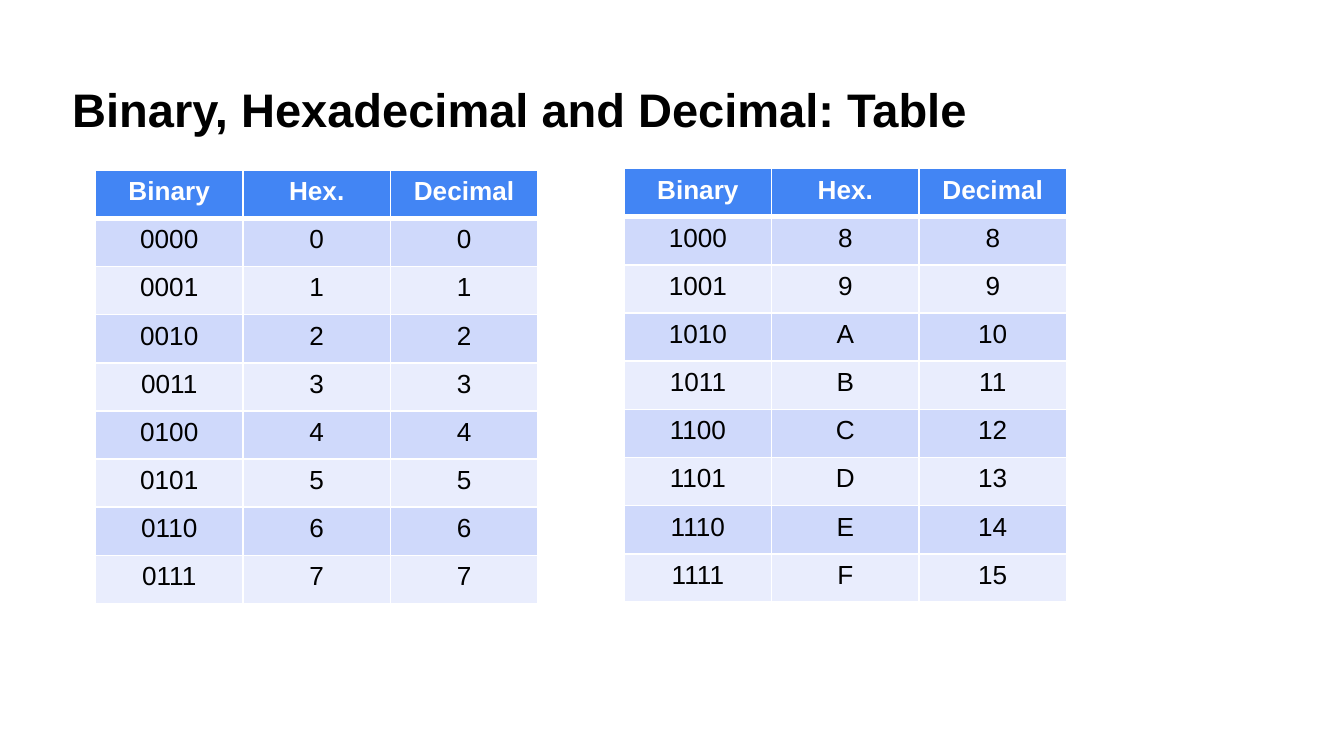
"""Build a slide with binary, hexadecimal and decimal conversion tables."""
import pptx
import pptx.dml.color
import pptx.enum.text
import pptx.oxml
import pptx.oxml.ns
import pptx.util

Pt = pptx.util.Pt
RGBColor = pptx.dml.color.RGBColor

BLACK = RGBColor(0x00, 0x00, 0x00)
WHITE = RGBColor(0xFF, 0xFF, 0xFF)
HEADER_BLUE = RGBColor(0x42, 0x85, 0xF4)
BAND_BLUES = (RGBColor(0xE9, 0xED, 0xFD), RGBColor(0xCF, 0xD9, 0xFB))

HEADINGS = ("Binary", "Hex.", "Decimal")
COLUMN_WIDTH = Pt(79)
ROW_HEIGHT = Pt(25.8)
TITLE_FORMAT = {"name": "Arial", "size": Pt(25.2), "bold": True}
HEADING_FORMAT = {"name": "Arial", "size": Pt(14), "bold": True}
NUMBER_FORMAT = {"name": "Arial", "size": Pt(14), "bold": False}


def set_attributes(target, values):
    for name, value in values.items():
        setattr(target, name, value)


def write(paragraph, wording, font_format, color):
    run = paragraph.add_run()
    run.text = wording
    set_attributes(run.font, font_format)
    run.font.color.rgb = color


def add_title(slide, wording):
    title = slide.shapes.add_textbox(Pt(24.5), Pt(35.3), Pt(671), Pt(45.4))
    set_attributes(title.text_frame, {
        "word_wrap": True,
        "margin_left": Pt(14.2),
        "margin_right": Pt(7.2),
        "margin_top": Pt(7.2),
        "margin_bottom": Pt(7.2),
        "vertical_anchor": pptx.enum.text.MSO_ANCHOR.MIDDLE,
    })
    write(title.text_frame.paragraphs[0], wording, TITLE_FORMAT, BLACK)


def set_borders(cell, top, bottom):
    properties = cell._tc.get_or_add_tcPr()
    widths = {"L": Pt(1), "R": Pt(1), "T": top, "B": bottom}
    for position, (side, width) in enumerate(widths.items()):
        border = pptx.oxml.parse_xml(
            f'<a:ln{side} {pptx.oxml.ns.nsdecls("a")} w="{width}">'
            f'<a:solidFill><a:srgbClr val="{WHITE}"/></a:solidFill></a:ln{side}>'
        )
        properties.insert(position, border)


def add_conversion_table(slide, left, top, numbers):
    rows = [HEADINGS] + [(f"{n:04b}", f"{n:X}", str(n)) for n in numbers]
    table = slide.shapes.add_table(
        len(rows), len(HEADINGS), left, top,
        COLUMN_WIDTH * len(HEADINGS), ROW_HEIGHT * len(rows),
    ).table
    for column in table.columns:
        column.width = COLUMN_WIDTH
    for row_index, values in enumerate(rows):
        table.rows[row_index].height = ROW_HEIGHT
        is_header = row_index == 0
        for column_index, value in enumerate(values):
            cell = table.cell(row_index, column_index)
            cell.fill.solid()
            cell.fill.fore_color.rgb = HEADER_BLUE if is_header else BAND_BLUES[row_index % 2]
            set_borders(cell, Pt(3 if row_index == 1 else 1), Pt(3 if is_header else 1))
            paragraph = cell.text_frame.paragraphs[0]
            paragraph.alignment = pptx.enum.text.PP_ALIGN.CENTER
            write(paragraph, value,
                  HEADING_FORMAT if is_header else NUMBER_FORMAT,
                  WHITE if is_header else BLACK)


def main():
    presentation = pptx.Presentation()
    set_attributes(presentation, {"slide_width": Pt(720), "slide_height": Pt(405)})
    slide = presentation.slides.add_slide(presentation.slide_layouts[6])
    add_title(slide, "Binary, Hexadecimal and Decimal: Table")
    add_conversion_table(slide, Pt(51.2), Pt(91.2), range(8))
    add_conversion_table(slide, Pt(334.4), Pt(90.3), range(8, 16))
    presentation.save("out.pptx")


if __name__ == "__main__":
    main()
